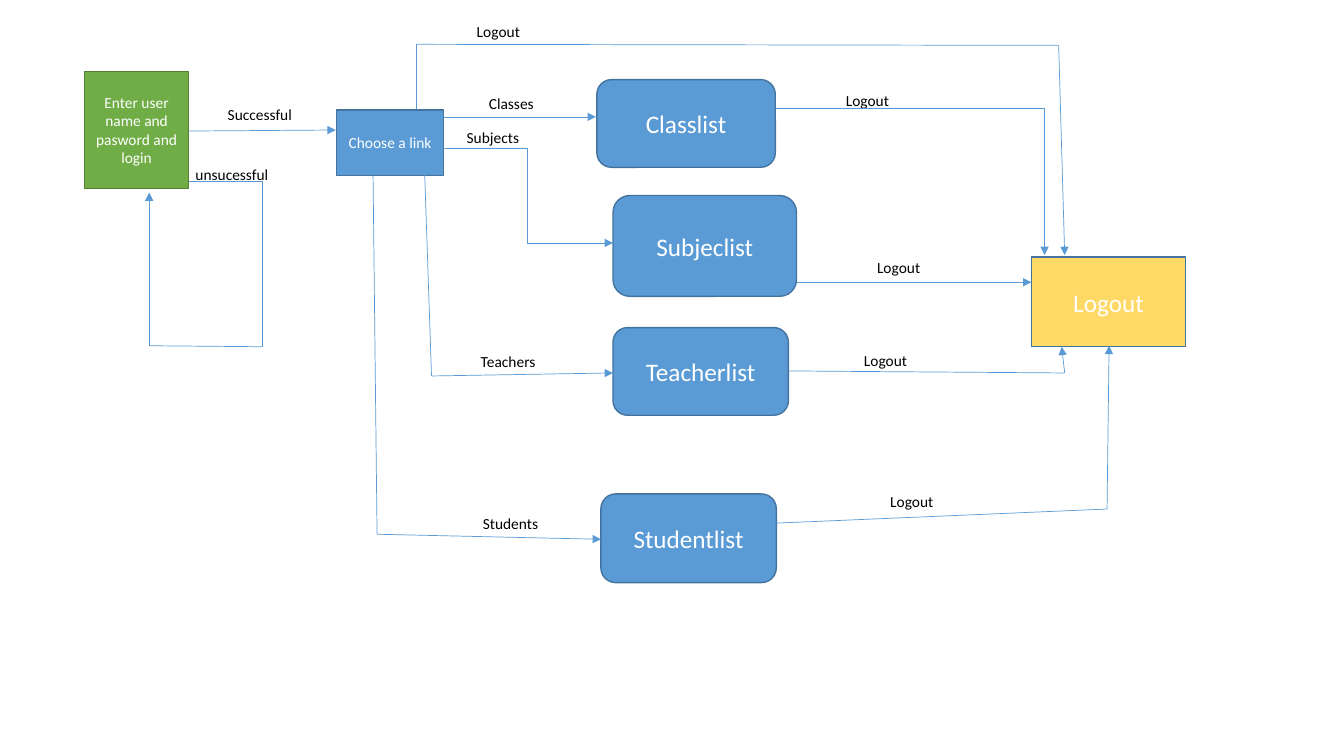
import pptx
import pptx.util
import pptx.dml.color
import pptx.enum.shapes
import pptx.enum.text
import pptx.oxml
import pptx.oxml.ns

Inches, Pt = pptx.util.Inches, pptx.util.Pt
SHAPE = pptx.enum.shapes.MSO_SHAPE
CONNECTOR = pptx.enum.shapes.MSO_CONNECTOR
ALIGN = pptx.enum.text.PP_ALIGN
ANCHOR = pptx.enum.text.MSO_ANCHOR

FONT = "Calibri"
SMALL, LARGE = 11, 18
LABEL_HEIGHT = 0.29
COLOURS = {
    "login": "70AD47", "login edge": "538035",
    "page": "5B9BD5", "page edge": "43739E",
    "logout": "FFD966", "wire": "5B9BD5",
    "light": "FFFFFF", "dark": "000000",
}

STEPS = [
    ("Enter user name and pasword and login", SHAPE.RECTANGLE, "login", "login edge", SMALL, (0.84, 0.71, 1.03, 1.16)),
    ("Choose a link", SHAPE.RECTANGLE, "page", "page edge", SMALL, (3.34, 1.09, 1.06, 0.65)),
    ("Logout", SHAPE.RECTANGLE, "logout", "page edge", LARGE, (10.23, 2.55, 1.53, 0.89)),
]
LISTS = [
    ("Classlist", (5.92, 0.79, 1.77, 0.87)),
    ("Subjeclist", (6.08, 1.94, 1.82, 1.0)),
    ("Teacherlist", (6.08, 3.25, 1.74, 0.87)),
    ("Studentlist", (5.96, 4.9, 1.74, 0.88)),
]
STEPS += [(name, SHAPE.ROUNDED_RECTANGLE, "page", "page edge", LARGE, place)
          for name, place in LISTS]

LABELS = [
    ("Successful", 2.16, 0.99, 0.89),
    ("unsucessful", 1.84, 1.59, 1.0),
    ("Classes", 4.75, 0.88, 0.76),
    ("Subjects", 4.53, 1.22, 0.98),
    ("Teachers", 4.67, 3.44, 0.84),
    ("Students", 4.69, 5.05, 0.97),
]
LOGOUT_LABELS = [(4.63, 0.17), (8.29, 0.85), (8.6, 2.51), (8.47, 3.43), (8.73, 4.83)]
LABELS += [("Logout", left, top, 1.19) for left, top in LOGOUT_LABELS]

ROUTES = [
    [(1.87, 1.3), (3.33, 1.29)],
    [(1.87, 1.8), (2.6, 1.8), (2.6, 3.44), (1.48, 3.43), (1.48, 1.91)],
    [(4.39, 1.16), (5.91, 1.16)],
    [(4.21, 1.66), (4.28, 3.73), (6.08, 3.7)],
    [(3.7, 1.73), (3.74, 5.3), (5.96, 5.35)],
    [(4.13, 1.08), (4.13, 0.44), (10.5, 0.45), (10.56, 2.53)],
    [(7.7, 1.08), (10.36, 1.08), (10.36, 2.53)],
    [(7.9, 2.8), (10.23, 2.8)],
    [(7.82, 3.68), (10.56, 3.7), (10.53, 3.44)],
    [(7.7, 5.19), (10.98, 5.05), (11.0, 3.43)],
]
SUBJECT_ELBOW = ((4.39, 1.47), (6.08, 2.41))


def colour(name):
    return pptx.dml.color.RGBColor.from_string(COLOURS[name])


def write(box, text, size, ink, align):
    box.text_frame.word_wrap = True
    para = box.text_frame.paragraphs[0]
    para.alignment = align
    span = para.add_run()
    span.text = text
    span.font.name = FONT
    span.font.size = Pt(size)
    span.font.color.rgb = colour(ink)


def add_step(page, text, kind, fill, edge, size, place):
    box = page.shapes.add_shape(kind, *map(Inches, place))
    box.shadow.inherit = False
    box.fill.solid()
    box.fill.fore_color.rgb = colour(fill)
    box.line.color.rgb = colour(edge)
    box.line.width = Pt(1)
    box.text_frame.vertical_anchor = ANCHOR.MIDDLE
    write(box, text, size, "light", ALIGN.CENTER)


def add_wire(page, start, end, arrow, kind=CONNECTOR.STRAIGHT):
    wire = page.shapes.add_connector(kind, *map(Inches, start + end))
    wire.line.color.rgb = colour("wire")
    wire.line.width = Pt(0.5)
    if arrow:
        head = pptx.oxml.parse_xml(
            '<a:tailEnd %s type="triangle"/>' % pptx.oxml.ns.nsdecls("a"))
        wire.line._get_or_add_ln().append(head)
    wire._element.spPr.append(
        pptx.oxml.parse_xml("<a:effectLst %s/>" % pptx.oxml.ns.nsdecls("a")))


deck = pptx.Presentation()
deck.slide_width, deck.slide_height = Inches(13.33), Inches(7.5)
page = deck.slides.add_slide(deck.slide_layouts[6])

for step in STEPS:
    add_step(page, *step)

for text, left, top, width in LABELS:
    box = page.shapes.add_textbox(*map(Inches, (left, top, width, LABEL_HEIGHT)))
    write(box, text, SMALL, "dark", ALIGN.LEFT)

for route in ROUTES:
    for start, end in zip(route, route[1:]):
        add_wire(page, start, end, arrow=end == route[-1])
add_wire(page, *SUBJECT_ELBOW, arrow=True, kind=CONNECTOR.ELBOW)

deck.save("out.pptx")
